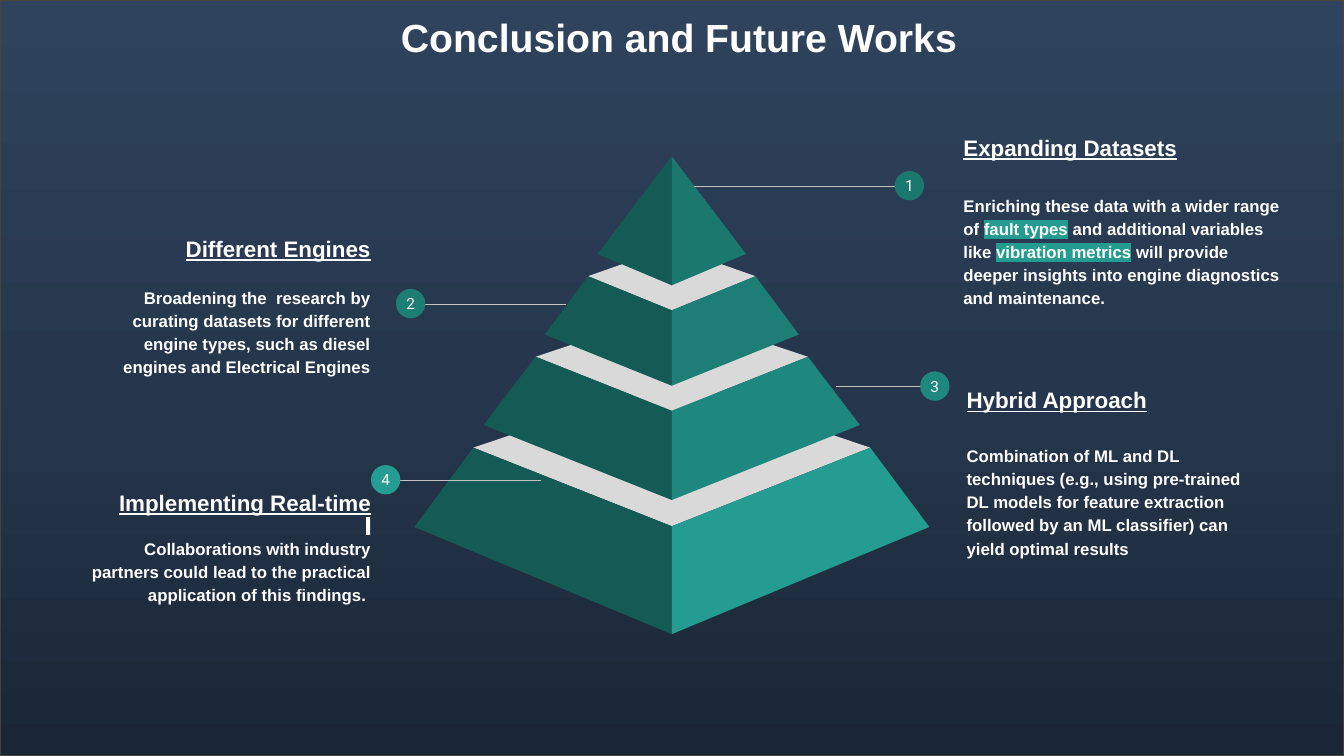
from copy import deepcopy

from lxml import etree
from pptx import Presentation
from pptx.dml.color import RGBColor
from pptx.enum.shapes import MSO_CONNECTOR, MSO_SHAPE
from pptx.enum.text import MSO_ANCHOR, PP_ALIGN
from pptx.oxml.ns import qn
from pptx.util import Cm, Pt

WHITE = RGBColor(0xFF, 0xFF, 0xFF)
NIGHT = RGBColor(0x1A, 0x26, 0x35)
NAVY = RGBColor(0x26, 0x37, 0x4D)
SLATE = RGBColor(0x2F, 0x43, 0x5D)
FRAME = RGBColor(0x47, 0x43, 0x36)
LEADER = RGBColor(0xC2, 0xC2, 0xC2)
CAP = RGBColor(0xD9, 0xD9, 0xD9)
SHADE = RGBColor(0x15, 0x5B, 0x55)
TEAL_1 = RGBColor(0x1B, 0x78, 0x6F)
TEAL_2 = RGBColor(0x1D, 0x7E, 0x75)
TEAL_3 = RGBColor(0x1F, 0x88, 0x7E)
TEAL_4 = RGBColor(0x24, 0x9C, 0x91)

prs = Presentation()
prs.slide_width, prs.slide_height = Cm(33.87), Cm(19.05)
s = prs.slides.add_slide(prs.slide_layouts[5])


def paint(sp, color):
    sp.shadow.inherit = False
    sp.fill.solid()
    sp.fill.fore_color.rgb = color
    sp.line.fill.background()


def polygon(points, color):
    corners = [(Cm(x), Cm(y)) for x, y in points]
    builder = s.shapes.build_freeform(*corners[0])
    builder.add_line_segments(corners[1:], close=True)
    paint(builder.convert_to_shape(), color)


# Backdrop with a three-stop gradient, sent behind the title
sp = s.shapes.add_shape(MSO_SHAPE.RECTANGLE, 0, 0, prs.slide_width, prs.slide_height)
sp.shadow.inherit = False
sp.line.color.rgb = FRAME
sp.line.width = Pt(1)
sp.fill.gradient()
sp.fill.gradient_angle = 90
first = sp.fill.gradient_stops
first[0].color.rgb, first[1].color.rgb = NIGHT, SLATE
stops = sp._element.spPr.find(qn("a:gradFill")).find(qn("a:gsLst"))
stops.insert(1, deepcopy(stops[0]))
for stop, color, position in zip(sp.fill.gradient_stops, (NIGHT, NAVY, SLATE), (0, 0.5, 1)):
    stop.color.rgb = color
    stop.position = position
s.shapes._spTree.insert(2, sp._element)

# Title
title = s.shapes.title
title.left, title.top, title.width, title.height = Cm(6.1), Cm(0.2), Cm(22.02), Cm(1.45)
tf = title.text_frame
tf.vertical_anchor = MSO_ANCHOR.TOP
p = tf.paragraphs[0]
p.text = "Conclusion and Future Works"
p.alignment = PP_ALIGN.CENTER
p.font.name, p.font.size, p.font.bold = "Arial", Pt(28), True
p.font.color.rgb = WHITE

# Pyramid tiers, bottom up: rim half-width and height, back of the cap, top of
# the ridge, foot half-width and height, bottom of the ridge, lit colour
CENTER = 16.93
tiers = [
    (5.0, 11.28, 9.6, 13.26, 6.49, 13.28, 15.98, TEAL_4),
    (3.43, 8.99, 7.85, 10.35, 4.74, 10.71, 12.6, TEAL_3),
    (2.11, 6.96, 6.22, 7.82, 3.2, 8.43, 9.72, TEAL_2),
    (0, 3.94, 3.94, 3.94, 1.87, 6.4, 7.19, TEAL_1),
]
for rim, rim_y, back_y, ridge_y, foot, foot_y, bottom_y, lit in tiers:
    if rim:
        polygon([(CENTER - rim, rim_y), (CENTER, ridge_y),
                 (CENTER + rim, rim_y), (CENTER, back_y)], CAP)
    for side, color in ((-1, SHADE), (1, lit)):
        face = [(CENTER, ridge_y), (CENTER + side * foot, foot_y), (CENTER, bottom_y)]
        if rim:
            face.insert(1, (CENTER + side * rim, rim_y))
        polygon(face, color)

# Numbered badges with leader lines: badge centre, pyramid end of the line
DIAMETER = 0.74
badges = [
    ("1", 22.92, 4.68, 17.5, TEAL_1),
    ("2", 10.35, 7.65, 14.27, TEAL_2),
    ("3", 23.56, 9.73, 21.06, TEAL_3),
    ("4", 9.72, 12.09, 13.64, TEAL_4),
]
for number, x, y, end, color in badges:
    line = s.shapes.add_connector(MSO_CONNECTOR.STRAIGHT, Cm(end), Cm(y + 0.02), Cm(x), Cm(y + 0.02))
    line.line.color.rgb = LEADER
    line.line.width = Pt(0.75)
    etree.SubElement(line._element.spPr, qn("a:effectLst"))

    sp = s.shapes.add_shape(MSO_SHAPE.OVAL, Cm(x - DIAMETER / 2), Cm(y - DIAMETER / 2),
                            Cm(DIAMETER), Cm(DIAMETER))
    paint(sp, color)
    tf = sp.text_frame
    tf.margin_left = tf.margin_right = tf.margin_top = tf.margin_bottom = 0
    tf.word_wrap = False
    tf.vertical_anchor = MSO_ANCHOR.MIDDLE
    p = tf.paragraphs[0]
    p.text = number
    p.alignment = PP_ALIGN.CENTER
    p.font.name, p.font.size = "Roboto", Pt(11)
    p.font.color.rgb = WHITE

# Notes: left, top, width, alignment, heading line spacing, gap in points,
# heading, body runs (every second run is highlighted)
notes = [
    (23.95, 3.58, 8.84, PP_ALIGN.LEFT, 1.15, 22.5, "Expanding Datasets",
     ["Enriching these data with a wider range of ", "fault types",
      " and additional variables like ", "vibration metrics",
      " will provide deeper insights into engine diagnostics and maintenance."]),
    (2.46, 5.72, 7.21, PP_ALIGN.RIGHT, 1.15, 16, "Different Engines",
     ["Broadening the  research by curating datasets for different engine types, "
      "such as diesel engines and Electrical Engines"]),
    (24.03, 9.91, 7.7, PP_ALIGN.LEFT, 1.15, 21, "Hybrid Approach",
     ["Combination of ML and DL techniques (e.g., using pre-trained DL models for "
      "feature extraction followed by an ML classifier) can yield optimal results"]),
    (1.5, 11.84, 8.18, PP_ALIGN.RIGHT, 1.0, 14, "Implementing Real-time",
     ["Collaborations with industry partners could lead to the practical "
      "application of this findings. "]),
]
for left, top, width, align, spacing, gap, heading, body in notes:
    tf = s.shapes.add_textbox(Cm(left), Cm(top), Cm(width), Cm(3.89)).text_frame
    tf.word_wrap = True
    tf.vertical_anchor = MSO_ANCHOR.MIDDLE
    tf.margin_left = tf.margin_right = tf.margin_top = tf.margin_bottom = Cm(0.33)

    p = tf.paragraphs[0]
    p.text = heading
    p.line_spacing = spacing
    p.font.size, p.font.underline = Pt(16), True

    p = tf.add_paragraph()
    p.line_spacing = 1.15
    p.space_before, p.space_after = Pt(gap), Pt(21)
    p.font.size = Pt(12)
    for i, text in enumerate(body):
        r = p.add_run()
        r.text = text
        if i % 2:
            mark = etree.SubElement(r._r.get_or_add_rPr(), qn("a:highlight"))
            etree.SubElement(mark, qn("a:srgbClr"), val=str(TEAL_4))

    for p in tf.paragraphs:
        p.alignment = align
        p.font.name, p.font.bold = "Arial", True
        p.font.color.rgb = WHITE

# White bar under the last heading
bar = s.shapes.add_shape(MSO_SHAPE.RECTANGLE, Cm(9.23), Cm(13.03), Cm(0.1), Cm(0.45))
paint(bar, WHITE)

prs.save("out.pptx")
